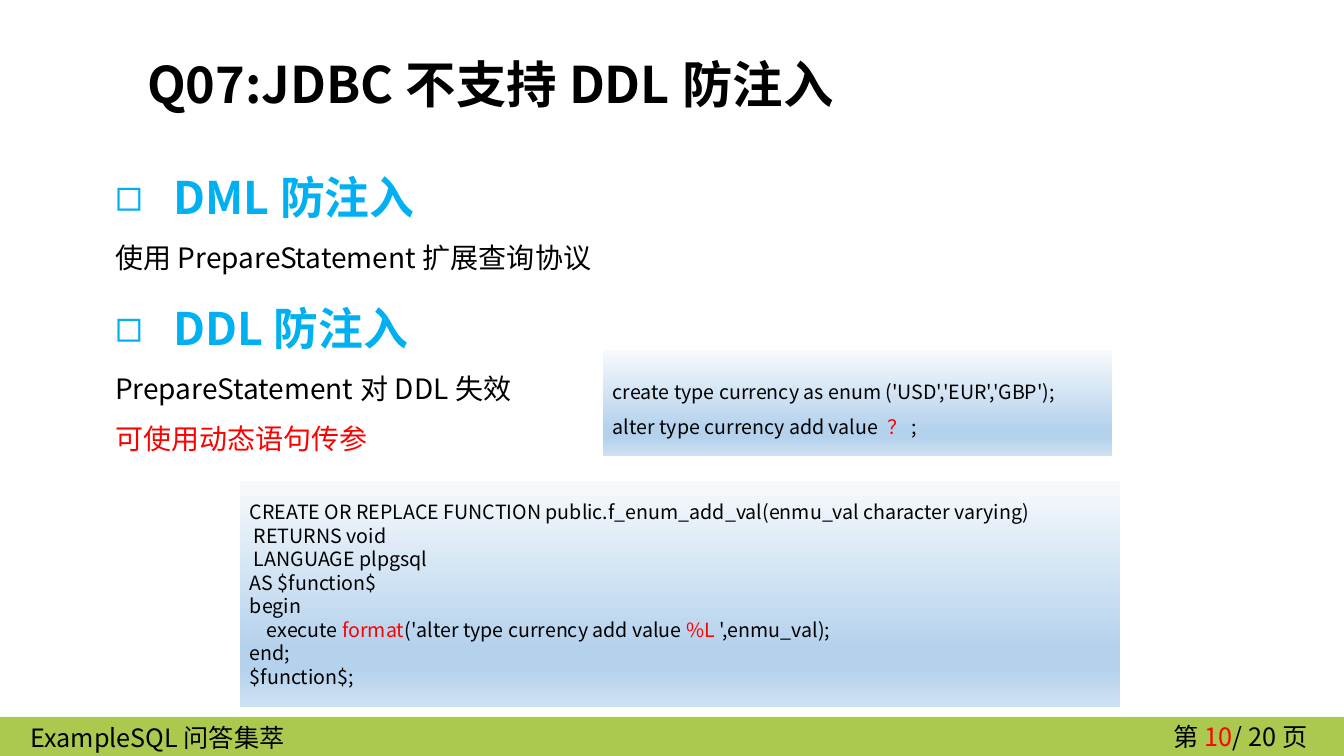
from pptx import Presentation
from pptx.dml.color import RGBColor
from pptx.enum.shapes import MSO_SHAPE
from pptx.enum.text import MSO_ANCHOR, MSO_AUTO_SIZE, PP_ALIGN
from pptx.oxml import parse_xml
from pptx.oxml.ns import nsdecls, qn
from pptx.util import Pt

RECT = MSO_SHAPE.RECTANGLE
TOP, MIDDLE = MSO_ANCHOR.TOP, MSO_ANCHOR.MIDDLE
LEFT, CENTER = PP_ALIGN.LEFT, PP_ALIGN.CENTER
NO_FIT = MSO_AUTO_SIZE.NONE
PX = 914400 / 100.8
FONT = "Noto Sans CJK SC"
COLORS = {"black": "000000", "red": "FF0000", "blue": "00B0F0", "green": "8FB815"}
PANEL_STOPS = [(0, "F7FAFD"), (74, "B5D2EC"), (83, "B5D2EC"), (100, "CEE1F2")]


def place(sp, box, anchor=TOP):
    sp.left, sp.top, sp.width, sp.height = [round(v * PX) for v in box]
    tf = sp.text_frame
    tf.word_wrap = True
    tf.auto_size = NO_FIT
    tf.vertical_anchor = anchor
    return tf


def write(tf, paragraphs, align=LEFT, spacing=1.0):
    for i, (runs, size, bold, margin, bullet) in enumerate(paragraphs):
        p = tf.paragraphs[0] if i == 0 else tf.add_paragraph()
        p.alignment = align
        p.line_spacing = spacing
        p.space_before = p.space_after = Pt(0)
        pPr = p._p.get_or_add_pPr()
        pPr.set("marL", str(round(margin * PX)))
        pPr.set("indent", str(round(-margin * PX) if bullet else 0))
        mark = f'buChar {nsdecls("a")} char="{bullet}"' if bullet else f'buNone {nsdecls("a")}'
        pPr.append(parse_xml(f"<a:{mark}/>"))
        for text, color in runs:
            r = p.add_run()
            r.text = text
            r.font.size = Pt(size)
            r.font.bold = bold
            r.font.name = FONT
            r.font.color.rgb = RGBColor.from_string(COLORS[color])
            r._r.rPr.append(parse_xml(f'<a:ea {nsdecls("a")} typeface="{FONT}"/>'))


prs = Presentation()
prs.slide_width, prs.slide_height = round(1344 * PX), round(756 * PX)
s = prs.slides.add_slide(prs.slide_layouts[1])

bar = s.shapes.add_shape(RECT, 0, 0, 0, 0)
place(bar, (0, 717, 1344, 39))
bar.shadow.inherit = False
bar.line.fill.background()
bar.fill.solid()
bar.fill.fore_color.rgb = RGBColor.from_string(COLORS["green"])
bar_color = bar._element.spPr.find(qn("a:solidFill"))[0]
bar_color.append(parse_xml(f'<a:alpha {nsdecls("a")} val="75000"/>'))

footers = [
    ((1, 717, 313, 40), [("ExampleSQL问答集萃", "black")]),
    ((1137, 716, 207, 40), [("第", "black"), ("10", "red"), ("/ 20页", "black")]),
]
for box, runs in footers:
    tf = place(s.shapes.add_textbox(0, 0, 0, 0), box)
    write(tf, [(runs, 18, False, 0, None)], CENTER)

tf = place(s.shapes.title, (137, 48, 1023, 72))
write(tf, [([("Q07:JDBC不支持DDL防注入", "black")], 36, True, 0, None)])

points = [
    ([("DML防注入", "blue")], 32, True, 58, "◻"),
    ([("使用PrepareStatement扩展查询协议", "black")], 20, False, 0, None),
    ([("DDL防注入", "blue")], 32, True, 58, "◻"),
    ([("PrepareStatement对DDL失效", "black")], 20, False, 0, None),
    ([("可使用动态语句传参", "red")], 20, False, 0, None),
]
write(place(s.placeholders[1], (105, 138, 569, 326)), points, spacing=1.5)

enum_code = [
    (0, [("create type currency as enum ('USD','EUR','GBP');", "black")]),
    (0, [("alter type currency add value ", "black"), ("？", "red"), (";", "black")]),
]
function_code = [
    (0, [("CREATE OR REPLACE FUNCTION public.f_enum_add_val(enmu_val character varying)", "black")]),
    (4, [("RETURNS void", "black")]),
    (4, [("LANGUAGE plpgsql", "black")]),
    (0, [("AS $function$", "black")]),
    (0, [("begin", "black")]),
    (17, [("execute ", "black"), ("format", "red"), ("('alter type currency add value ", "black"),
          ("%L", "red"), (" ',enmu_val);", "black")]),
    (0, [("end;", "black")]),
    (0, [("$function$;", "black")]),
]
panels = [((603, 350, 509, 106), enum_code, 1.5), ((240, 481, 880, 226), function_code, 1.0)]
for box, code, spacing in panels:
    sp = s.shapes.add_shape(RECT, 0, 0, 0, 0)
    tf = place(sp, box, MIDDLE)
    sp.shadow.inherit = False
    sp.line.fill.background()
    sp.fill.gradient()
    sp.fill.gradient_angle = 270
    stops = sp._element.spPr.find(qn("a:gradFill")).find(qn("a:gsLst"))
    for stop in list(stops):
        stops.remove(stop)
    for pos, color in PANEL_STOPS:
        stops.append(parse_xml(
            f'<a:gs {nsdecls("a")} pos="{pos * 1000}"><a:srgbClr val="{color}"/></a:gs>'))
    write(tf, [(runs, 14, False, margin, None) for margin, runs in code], spacing=spacing)

prs.save("out.pptx")
